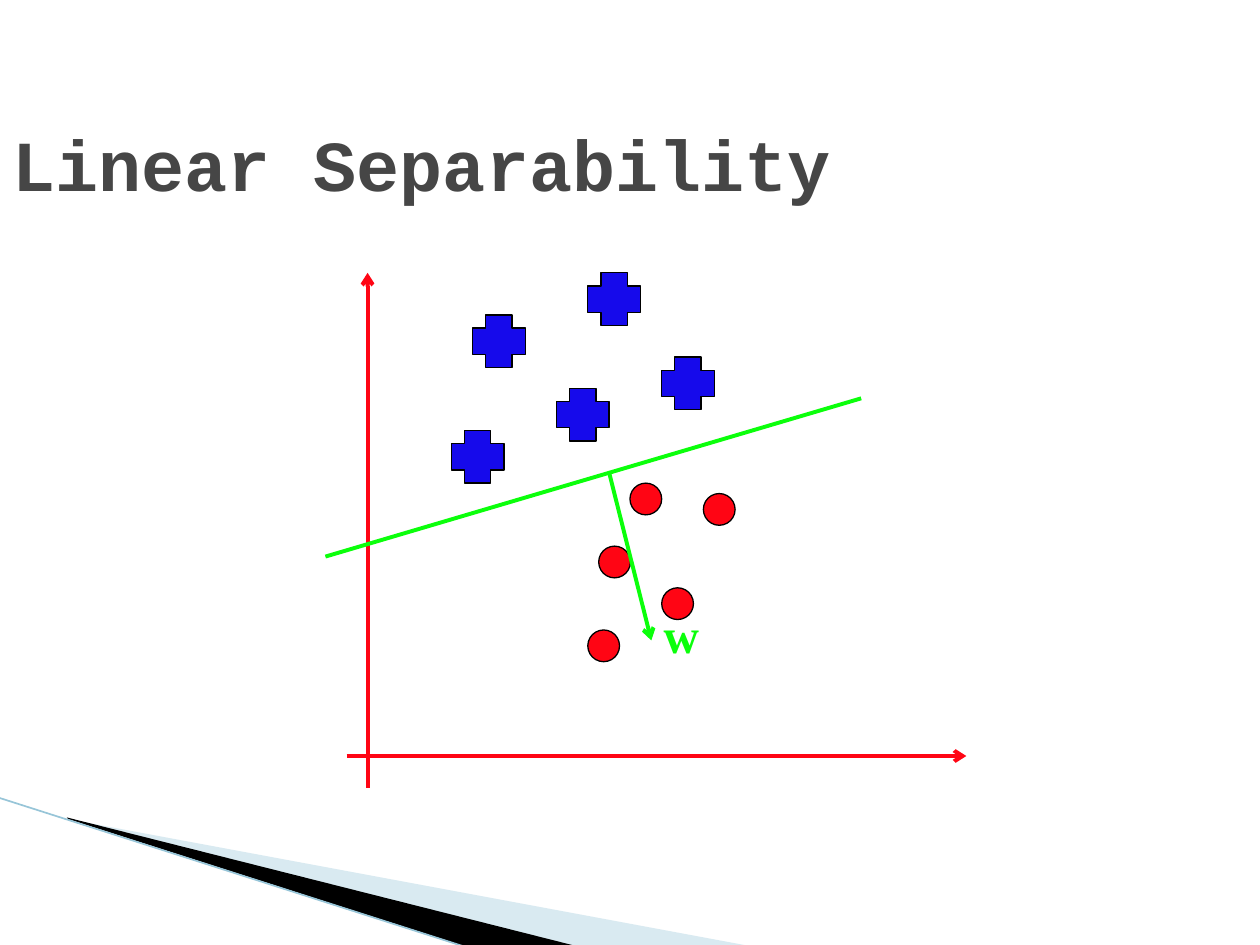
from typing import NamedTuple

from lxml import etree
from pptx import Presentation
from pptx.dml.color import RGBColor
from pptx.enum.shapes import MSO_CONNECTOR, MSO_SHAPE
from pptx.enum.text import MSO_ANCHOR, PP_ALIGN
from pptx.oxml.ns import qn
from pptx.util import Cm, Pt

STRAIGHT = MSO_CONNECTOR.STRAIGHT
CROSS, OVAL = MSO_SHAPE.CROSS, MSO_SHAPE.OVAL
MIDDLE, TOP = MSO_ANCHOR.MIDDLE, MSO_ANCHOR.TOP
LEFT = PP_ALIGN.LEFT

RED, GREEN, BLUE, BLACK = "FF0514", "0BFF0B", "160AEB", "000000"
Point = tuple[float, float]


class Mark(NamedTuple):
    """A class of data points, placed by their top left corners in cm."""
    kind: MSO_SHAPE
    size: float
    color: str
    spots: list[Point]


class Line(NamedTuple):
    start: Point
    end: Point
    color: str
    width: float = 2.25
    arrow: bool = True


class Wedge(NamedTuple):
    points: list[Point]
    color: str
    alpha: int = 100


WEDGES = [
    Wedge([(1.4, 16.52), (15.11, 19.07), (11.58, 19.07), (1.4, 16.51)], "A0CBDC", 40),
    Wedge([(1.35, 16.48), (11.61, 19.07), (9.45, 19.1), (1.37, 16.51)], BLACK),
]
EDGE = Line((-0.03, 16.08), (9.42, 19.1), "97C5D8", 0.95, False)
AXES = [
    Line((7.41, 15.88), (7.41, 5.5), RED),
    Line((6.99, 15.24), (19.48, 15.24), RED),
]
MARKS = [
    Mark(CROSS, 1.06, BLUE, [(9.53, 6.35), (11.22, 7.83), (11.85, 5.5),
                             (9.1, 8.68), (13.34, 7.2)]),
    Mark(OVAL, 0.64, RED, [(12.7, 9.74), (12.07, 11.01), (11.85, 12.7),
                           (13.34, 11.85), (14.18, 9.95)]),
]
SPLIT = [
    Line((6.56, 11.22), (17.36, 8.03), GREEN, arrow=False),
    Line((12.28, 9.53), (13.13, 12.91), GREEN),
]


def paint(target, color: str) -> None:
    """Give a fill or a line's fill one solid colour."""
    target.solid()
    target.fore_color.rgb = RGBColor.from_string(color)


def draw_wedge(slide, wedge: Wedge) -> None:
    dots = [(Cm(x), Cm(y)) for x, y in wedge.points]
    path = slide.shapes.build_freeform(*dots[0])
    path.add_line_segments(dots[1:])
    shape = path.convert_to_shape()
    shape.shadow.inherit = False
    shape.line.fill.background()
    paint(shape.fill, wedge.color)
    if wedge.alpha < 100:
        tint = shape.fill._xPr.find(".//" + qn("a:srgbClr"))
        etree.SubElement(tint, qn("a:alpha"), val=str(wedge.alpha * 1000))


def draw_line(slide, line: Line) -> None:
    ends = [Cm(n) for n in line.start + line.end]
    shape = slide.shapes.add_connector(STRAIGHT, *ends)
    paint(shape.line.fill, line.color)
    shape.line.width = Pt(line.width)
    if line.arrow:
        etree.SubElement(shape.line._ln, qn("a:tailEnd"), type="arrow")
    etree.SubElement(shape._element.spPr, qn("a:effectLst"))


def draw_marks(slide, mark: Mark) -> None:
    for x, y in mark.spots:
        shape = slide.shapes.add_shape(
            mark.kind, Cm(x), Cm(y), Cm(mark.size), Cm(mark.size))
        shape.shadow.inherit = False
        paint(shape.fill, mark.color)
        paint(shape.line.fill, BLACK)
        shape.line.width = Pt(0.75)


def write(shape, text: str, font: str, size: float, color: str, anchor) -> None:
    frame = shape.text_frame
    frame.vertical_anchor = anchor
    para = frame.paragraphs[0]
    para.alignment = LEFT
    run = para.add_run()
    run.text = text
    run.font.name, run.font.size, run.font.bold = font, Pt(size), True
    paint(run.font.fill, color)


def main() -> None:
    deck = Presentation()
    deck.slide_width, deck.slide_height = Cm(25.4), Cm(19.05)
    slide = deck.slides.add_slide(deck.slide_layouts[5])

    # Corner decoration
    for wedge in WEDGES:
        draw_wedge(slide, wedge)
    draw_line(slide, EDGE)

    # Title
    title = slide.shapes.title
    title.left, title.top, title.width, title.height = Cm(0), Cm(1.71), Cm(21.59), Cm(3.16)
    write(title, "Linear Separability", "Courier New", 41, "464646", MIDDLE)

    # Axes and the two classes of points
    for line in AXES:
        draw_line(slide, line)
    for mark in MARKS:
        draw_marks(slide, mark)

    # Separating line with its normal vector
    for line in SPLIT:
        draw_line(slide, line)
    label = slide.shapes.add_textbox(Cm(13.13), Cm(12.07), Cm(1.2), Cm(1.44))
    label.text_frame.word_wrap = False
    write(label, "w", "Times New Roman", 28, GREEN, TOP)

    deck.save("out.pptx")


if __name__ == "__main__":
    main()
